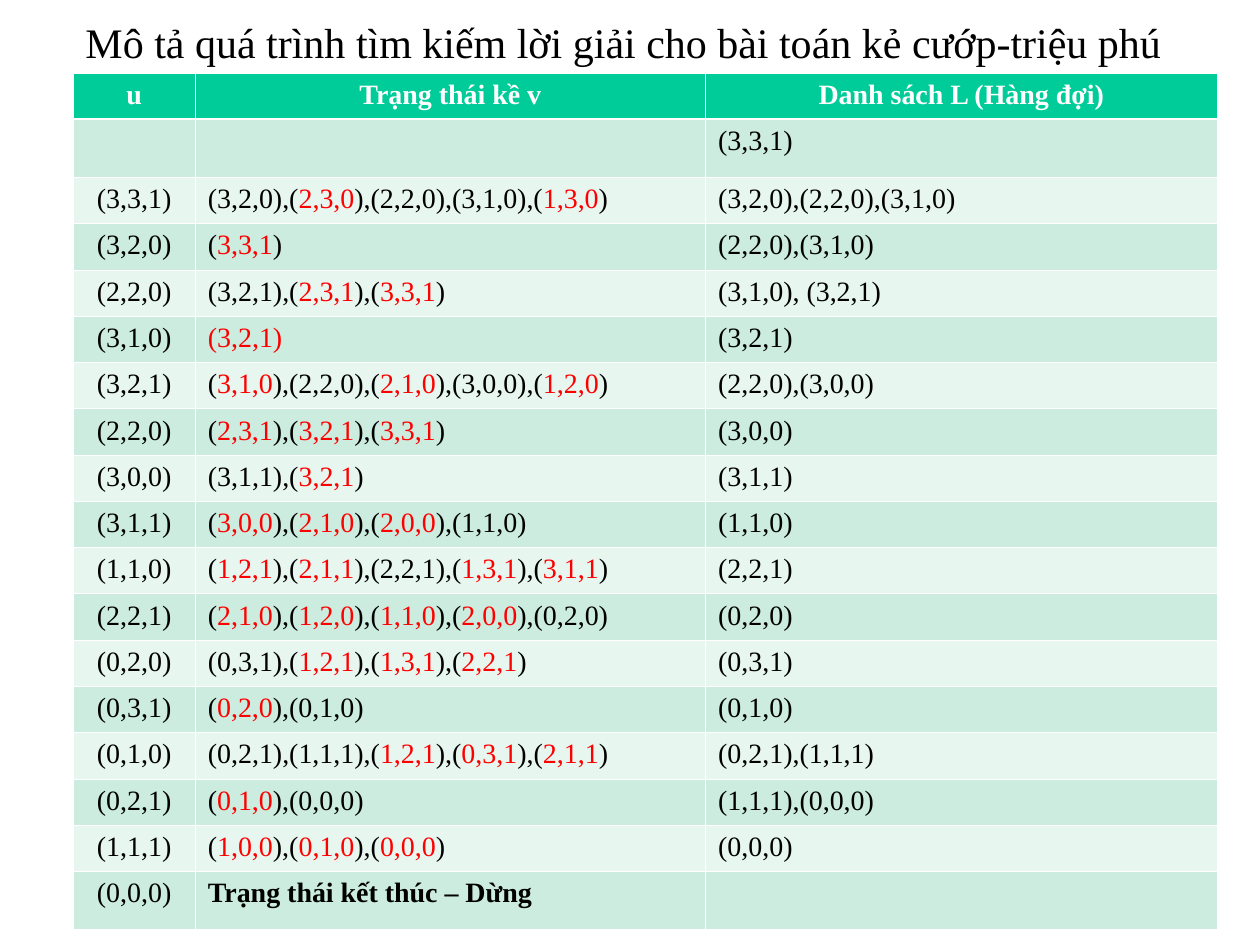
import dataclasses
import typing

import lxml.etree
import pptx
import pptx.dml.color
import pptx.enum.text
import pptx.oxml.ns
import pptx.util

Inches = pptx.util.Inches
Pt = pptx.util.Pt
Color = pptx.dml.color.RGBColor
Align = pptx.enum.text.PP_ALIGN


@dataclasses.dataclass(frozen=True)
class Theme:
    font: str = "Times New Roman"
    title_size: int = 24
    table_size: int = 16
    text: str = "000000"
    visited: str = "FF0000"
    header_text: str = "FFFFFF"
    header_fill: str = "00CC99"
    bands: tuple[str, str] = ("CBECDE", "E7F6EF")
    border: str = "FFFFFF"
    thin: float = 0.45
    thick: float = 1.47


class Step(typing.NamedTuple):
    """One step of the search; text between bars is an already visited state."""
    state: str
    neighbours: str
    queue: str
    neighbours_bold: bool = False


THEME = Theme()
TITLE = "Mô tả quá trình tìm kiếm lời giải cho bài toán kẻ cướp-triệu phú"
HEADER = Step("u", "Trạng thái kề v", "Danh sách L (Hàng đợi)")
STEPS = [
    Step("", "", "(3,3,1)"),
    Step("(3,3,1)", "(3,2,0),(|2,3,0|),(2,2,0),(3,1,0),(|1,3,0|)", "(3,2,0),(2,2,0),(3,1,0)"),
    Step("(3,2,0)", "(|3,3,1|)", "(2,2,0),(3,1,0)"),
    Step("(2,2,0)", "(3,2,1),(|2,3,1|),(|3,3,1|)", "(3,1,0), (3,2,1)"),
    Step("(3,1,0)", "|(3,2,1)|", "(3,2,1)"),
    Step("(3,2,1)", "(|3,1,0|),(2,2,0),(|2,1,0|),(3,0,0),(|1,2,0|)", "(2,2,0),(3,0,0)"),
    Step("(2,2,0)", "(|2,3,1|),(|3,2,1|),(|3,3,1|)", "(3,0,0)"),
    Step("(3,0,0)", "(3,1,1),(|3,2,1|)", "(3,1,1)"),
    Step("(3,1,1)", "(|3,0,0|),(|2,1,0|),(|2,0,0|),(1,1,0)", "(1,1,0)"),
    Step("(1,1,0)", "(|1,2,1|),(|2,1,1|),(2,2,1),(|1,3,1|),(|3,1,1|)", "(2,2,1)"),
    Step("(2,2,1)", "(|2,1,0|),(|1,2,0|),(|1,1,0|),(|2,0,0|),(0,2,0)", "(0,2,0)"),
    Step("(0,2,0)", "(0,3,1),(|1,2,1|),(|1,3,1|),(|2,2,1|)", "(0,3,1)"),
    Step("(0,3,1)", "(|0,2,0|),(0,1,0)", "(0,1,0)"),
    Step("(0,1,0)", "(0,2,1),(1,1,1),(|1,2,1|),(|0,3,1|),(|2,1,1|)", "(0,2,1),(1,1,1)"),
    Step("(0,2,1)", "(|0,1,0|),(0,0,0)", "(1,1,1),(0,0,0)"),
    Step("(1,1,1)", "(|1,0,0|),(|0,1,0|),(|0,0,0|)", "(0,0,0)"),
    Step("(0,0,0)", "Trạng thái kết thúc – Dừng", "", neighbours_bold=True),
]

LEFT, TABLE_TOP, WIDTH = 0.58, 0.58, 9.08
COLUMN_WIDTHS = (0.97, 4.05, 4.06)
ROW_HEIGHT = 6.25 / 17
END_ROW_HEIGHT = 0.46  # first and last step


def set_font(font: typing.Any, size: int, color: str, bold: bool = False) -> None:
    font.name = THEME.font
    font.size = Pt(size)
    font.bold = bold
    font.color.rgb = Color.from_string(color)


def add_border(cell: typing.Any, side: str, width: float) -> None:
    properties = cell._tc.get_or_add_tcPr()
    line = lxml.etree.SubElement(properties, pptx.oxml.ns.qn(f"a:ln{side}"), w=str(Pt(width)))
    fill = lxml.etree.SubElement(line, pptx.oxml.ns.qn("a:solidFill"))
    lxml.etree.SubElement(fill, pptx.oxml.ns.qn("a:srgbClr"), val=THEME.border)


def fill_cell(cell: typing.Any, text: str, fill: str, color: str,
              bold: bool, centred: bool, thick_side: str) -> None:
    for side in "LRTB":
        add_border(cell, side, THEME.thick if side == thick_side else THEME.thin)
    cell.fill.solid()
    cell.fill.fore_color.rgb = Color.from_string(fill)
    para = cell.text_frame.paragraphs[0]
    para.alignment = Align.CENTER if centred else Align.LEFT
    set_font(para.font, THEME.table_size, color, bold)
    for index, part in enumerate(text.split("|")):
        if part:
            span = para.add_run()
            span.text = part
            set_font(span.font, THEME.table_size, THEME.visited if index % 2 else color, bold)


def add_search_table(page: typing.Any) -> None:
    rows = [HEADER, *STEPS]
    table = page.shapes.add_table(
        len(rows), len(COLUMN_WIDTHS), Inches(LEFT), Inches(TABLE_TOP),
        Inches(WIDTH), Inches(ROW_HEIGHT * len(rows))).table
    for column, width in zip(table.columns, COLUMN_WIDTHS):
        column.width = Inches(width)
    for row, step in enumerate(rows):
        is_header = row == 0
        is_end = row in (1, len(rows) - 1)
        table.rows[row].height = Inches(END_ROW_HEIGHT if is_end else ROW_HEIGHT)
        fill = THEME.header_fill if is_header else THEME.bands[(row - 1) % 2]
        color = THEME.header_text if is_header else THEME.text
        thick_side = {0: "B", 1: "T"}.get(row, "")
        for column, text in enumerate(step[:3]):
            bold = is_header or (column == 1 and step.neighbours_bold)
            fill_cell(table.cell(row, column), text, fill, color, bold,
                      is_header or column == 0, thick_side)


def add_title(page: typing.Any) -> None:
    box = page.shapes.add_textbox(Inches(LEFT), Inches(0.08), Inches(WIDTH), Inches(0.5))
    box.text_frame.word_wrap = True
    para = box.text_frame.paragraphs[0]
    para.text = TITLE
    set_font(para.font, THEME.title_size, THEME.text)


def main() -> None:
    deck = pptx.Presentation()
    deck.slide_width, deck.slide_height = Inches(10), Inches(7.5)
    page = deck.slides.add_slide(deck.slide_layouts[6])
    # Search trace, then the heading above it
    add_search_table(page)
    add_title(page)
    deck.save("out.pptx")


if __name__ == "__main__":
    main()
